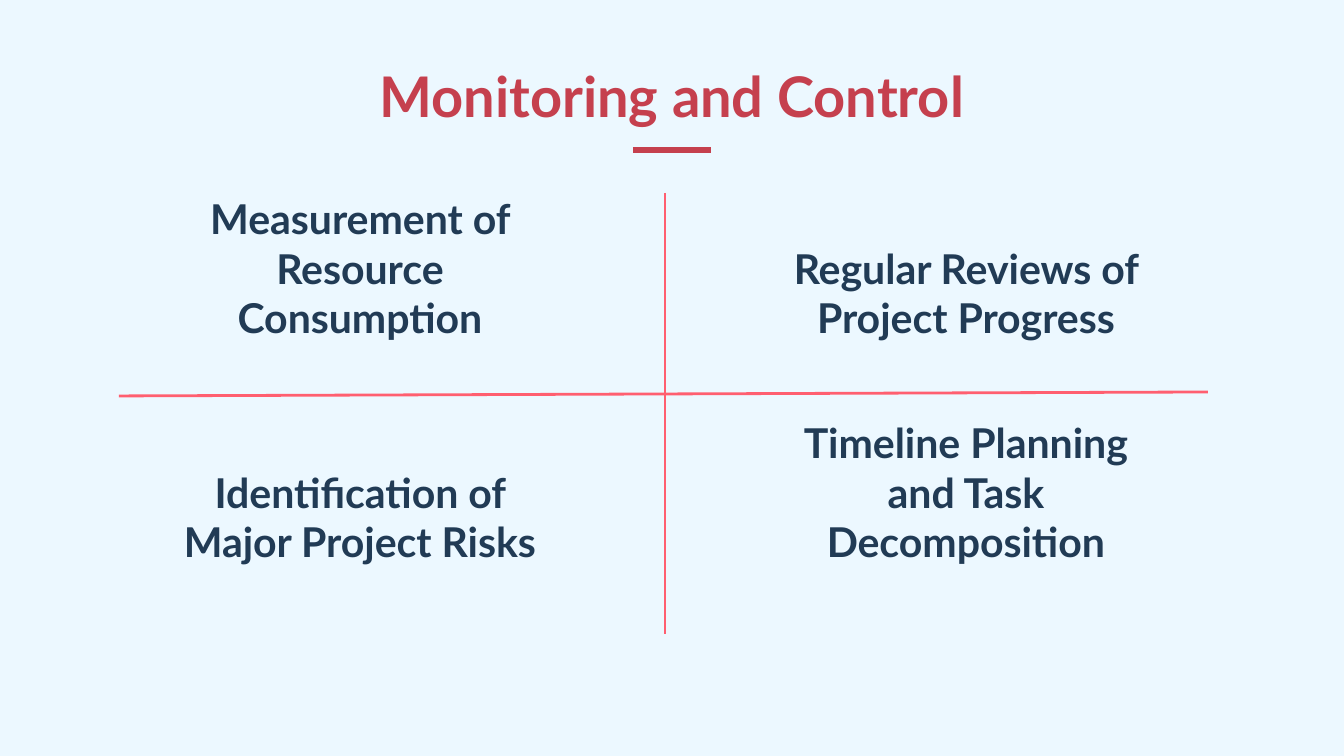
from dataclasses import dataclass

from lxml import etree
from pptx import Presentation
from pptx import util as u
from pptx.dml.color import RGBColor
from pptx.enum import shapes, text
from pptx.oxml import ns

PX_PER_INCH = 134.4


@dataclass(frozen=True)
class Theme:
    """Colours, font and sizes of the slide."""

    background: str = "ECF8FF"
    heading: str = "C5404E"
    body: str = "213B55"
    divider: str = "FF5F70"
    font: str = "Lato"
    heading_size: float = 30
    body_size: float = 22
    rule_width: float = 3
    divider_width: float = 1.5


THEME = Theme()


def px(length):
    """Turn whole pixels into EMU."""
    return u.Emu(round(length * u.Inches(1) / PX_PER_INCH))


def add_line(slide, start, end, color, width):
    """Draw a straight line between two points."""
    line = slide.shapes.add_connector(
        shapes.MSO_CONNECTOR.STRAIGHT, *map(px, (*start, *end))
    )
    line.line.color.rgb = RGBColor.from_string(color)
    line.line.width = u.Pt(width)
    etree.SubElement(line._element.spPr, ns.qn("a:effectLst"))


def add_label(slide, content, center, bottom, width, height, color, size):
    """Add bold centred text that rests on the bottom of its box."""
    box = slide.shapes.add_textbox(
        px(center - width / 2), px(bottom - height), px(width), px(height)
    )
    frame = box.text_frame
    frame.word_wrap = True
    frame.auto_size = text.MSO_AUTO_SIZE.NONE
    frame.vertical_anchor = text.MSO_ANCHOR.BOTTOM
    frame.margin_left = frame.margin_right = u.Inches(0.1)
    frame.margin_top = frame.margin_bottom = u.Inches(0.1)
    paragraph = frame.paragraphs[0]
    paragraph.alignment = text.PP_ALIGN.CENTER
    run = paragraph.add_run()
    run.text = content
    run.font.name = THEME.font
    run.font.size = u.Pt(size)
    run.font.bold = True
    run.font.color.rgb = RGBColor.from_string(color)


def add_heading(slide):
    """Add the slide title and the short rule below it."""
    add_line(slide, (633, 150), (711, 150), THEME.heading, THEME.rule_width)
    add_label(slide, "Monitoring and Control", 672, 142, 1110, 112,
              THEME.heading, THEME.heading_size)


def add_quadrants(slide):
    """Add the four topics and the cross that parts them."""
    left, right = 360, 966
    upper, lower = 355, 579
    topics = [
        ("Measurement of Resource Consumption", left, upper, 446, 112),
        ("Identification of Major Project Risks", left, lower, 390, 124),
        ("Regular Reviews of Project Progress", right, upper, 390, 124),
        ("Timeline Planning and Task Decomposition", right, lower, 425, 124),
    ]
    for topic in topics:
        add_label(slide, *topic, THEME.body, THEME.body_size)
    for start, end in [((1208, 392), (119, 396)), ((665, 193), (665, 634))]:
        add_line(slide, start, end, THEME.divider, THEME.divider_width)


def main():
    """Build and save the slide."""
    presentation = Presentation()
    presentation.slide_width = px(1344)
    presentation.slide_height = px(756)
    slide = presentation.slides.add_slide(presentation.slide_layouts[6])
    fill = slide.background.fill
    fill.solid()
    fill.fore_color.rgb = RGBColor.from_string(THEME.background)
    add_heading(slide)
    add_quadrants(slide)
    presentation.save("out.pptx")


if __name__ == "__main__":
    main()
